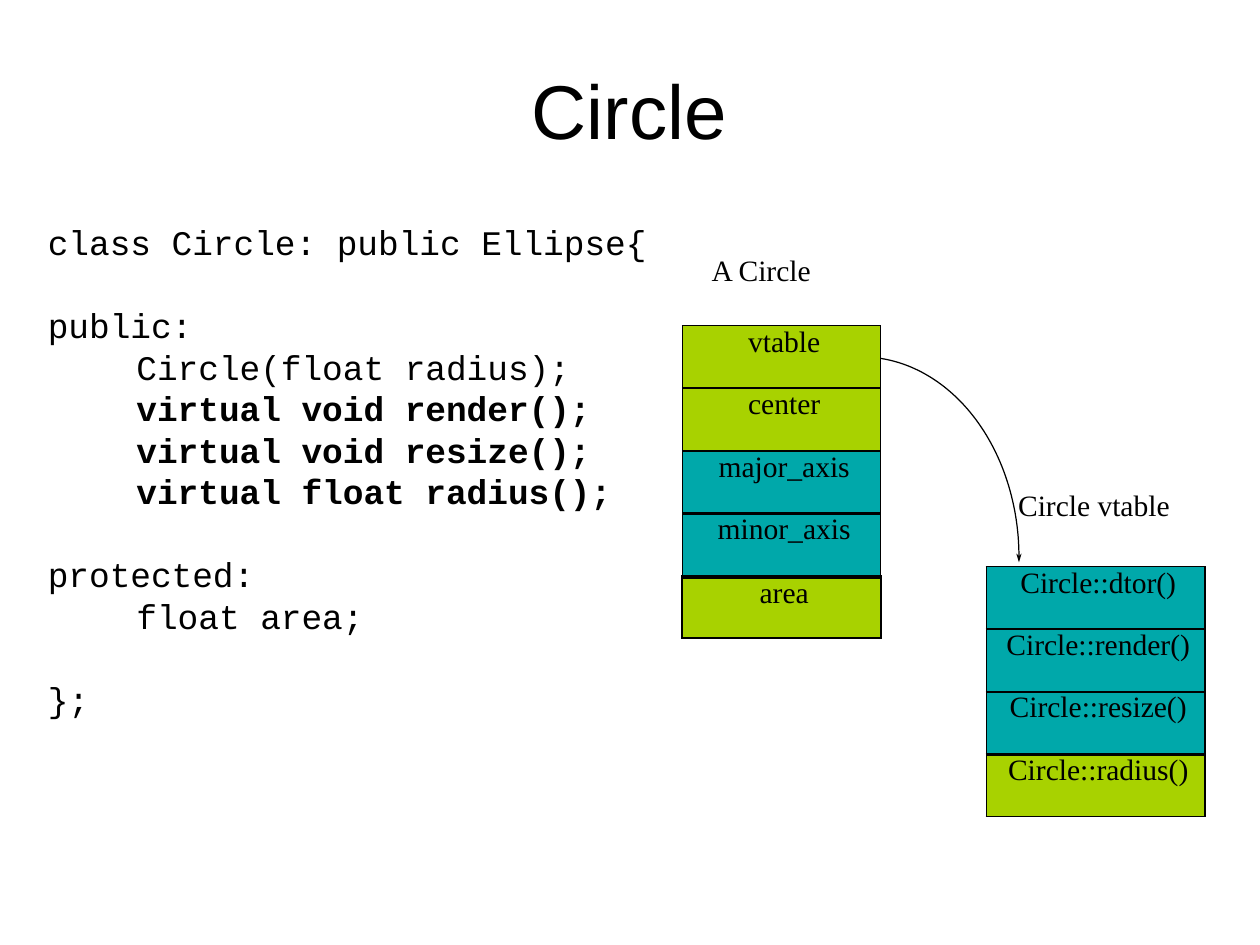
from math import cos, pi, sin

from lxml import etree
from pptx import Presentation
from pptx.dml.color import RGBColor
from pptx.enum.text import MSO_ANCHOR, MSO_AUTO_SIZE, PP_ALIGN
from pptx.oxml.ns import qn
from pptx.util import Inches, Pt

TOP, FIXED = MSO_ANCHOR.TOP, MSO_AUTO_SIZE.NONE
LEFT, CENTER = PP_ALIGN.LEFT, PP_ALIGN.CENTER

THEME = {
    "ink": RGBColor(0, 0, 0),
    "lime": RGBColor(0xA8, 0xD2, 0x00),
    "teal": RGBColor(0x00, 0xA8, 0xAA),
    "title": ("Arial", 62),
    "code": ("Courier New", 28),
    "label": ("Times New Roman", 24),
}


def write(par, text, style, bold=False):
    run = par.add_run()
    run.text = text
    font = run.font
    font.name, size = THEME[style]
    font.size = Pt(size)
    font.bold = bold
    font.color.rgb = THEME["ink"]


def place(shape, box, pad, lift):
    shape.left, shape.top, shape.width, shape.height = map(Inches, box)
    frame = shape.text_frame
    frame.auto_size, frame.word_wrap = FIXED, False
    frame.vertical_anchor = TOP
    frame.margin_left = frame.margin_right = Inches(pad)
    frame.margin_top, frame.margin_bottom = Inches(lift), 0
    frame.paragraphs[0].alignment = LEFT
    return frame


deck = Presentation()
deck.slide_width, deck.slide_height = Inches(14.22), Inches(10.67)
slide = deck.slides.add_slide(deck.slide_layouts[1])
shapes = slide.shapes

# Title
frame = place(shapes.title, (6, 0.62, 2.23, 1.04), 0, 0.09)
write(frame.paragraphs[0], "Circle", "title")

# Class code: text, indent, bold, gap above
code = [
    ("class Circle: public Ellipse{", 0, False, False),
    ("public:", 0, False, True),
    ("Circle(float radius);", 1, False, False),
    ("virtual void render();", 1, True, False),
    ("virtual void resize();", 1, True, False),
    ("virtual float radius();", 1, True, False),
    ("protected:", 0, False, True),
    ("float area;", 1, False, False),
    ("};", 0, False, True),
]
pitch = Pt(33.7)
frame = place(slide.placeholders[1], (0.44, 2.42, 7.01, 5.76), 0.1, 0.08)
for i, (text, indent, bold, gap) in enumerate(code):
    par = frame.add_paragraph() if i else frame.paragraphs[0]
    par.line_spacing = pitch
    par.space_before = pitch if gap else Pt(0)
    props = par._p.get_or_add_pPr()
    props.set("marL", str(Inches(indent)))
    props.set("indent", "0")
    etree.SubElement(props, qn("a:buNone"))
    write(par, text, "code", bold)

# Labels
for text, box in [("A Circle", (8.03, 2.82, 1.15, 0.41)),
                  ("Circle vtable", (11.49, 5.47, 1.74, 0.41))]:
    frame = place(shapes.add_textbox(0, 0, 0, 0), box, 0, 0.03)
    write(frame.paragraphs[0], text, "label")

# Curved arrow: a quarter ellipse and its head
mid_x, mid_y, wide, high = 9.72, 6.29, 1.78, 2.26
steps = 60
turns = [pi / 2 * i / steps for i in range(steps + 1)]
arc = [(mid_x + wide * sin(t), mid_y - high * cos(t)) for t in turns]
head = [(11.47, 6.25), (11.5, 6.35), (11.53, 6.25), (11.5, 6.28)]
for dots, closed in [(arc, False), (head, True)]:
    dots = [(Inches(x), Inches(y)) for x, y in dots]
    pen = shapes.build_freeform(*dots[0])
    pen.add_line_segments(dots[1:], close=closed)
    shape = pen.convert_to_shape()
    shape.shadow.inherit = False
    if closed:
        shape.fill.solid()
        shape.fill.fore_color.rgb = THEME["ink"]
        shape.line.fill.background()
    else:
        shape.fill.background()
        shape.line.color.rgb = THEME["ink"]
        shape.line.width = Pt(1)

# Memory tables: place, row heights, rule widths, side widths, rows
tables = [
    ((7.7, 3.68, 2.24), [0.7, 0.71, 0.71, 0.72, 0.68],
     [1, 2.2, 2.2, 2.2, 3.65, 2], [1, 1, 1, 1, 2],
     [("vtable", "lime"), ("center", "lime"), ("major_axis", "teal"),
      ("minor_axis", "teal"), ("area", "lime")]),
    ((11.13, 6.4, 2.47), [0.7, 0.71, 0.71, 0.7],
     [1, 2, 2, 2, 1], [1, 1, 1, 1],
     [("Circle::dtor()", "teal"), ("Circle::render()", "teal"),
      ("Circle::resize()", "teal"), ("Circle::radius()", "lime")]),
]
for (x, y, width), heights, rules, sides, rows in tables:
    grid = shapes.add_table(len(rows), 1, Inches(x), Inches(y),
                            Inches(width), Inches(sum(heights))).table
    grid.first_row = grid.horz_banding = False
    for i, (text, color) in enumerate(rows):
        grid.rows[i].height = Inches(heights[i])
        cell = grid.cell(i, 0)
        cell.margin_left = cell.margin_right = 0
        cell.margin_top = cell.margin_bottom = 0
        cell.vertical_anchor = TOP
        props = cell._tc.get_or_add_tcPr()
        for side, size in zip("LRTB", (sides[i], sides[i], rules[i], rules[i + 1])):
            edge = etree.SubElement(props, qn(f"a:ln{side}"), w=str(Pt(size)))
            fill = etree.SubElement(edge, qn("a:solidFill"))
            etree.SubElement(fill, qn("a:srgbClr"), val=str(THEME["ink"]))
        cell.fill.solid()
        cell.fill.fore_color.rgb = THEME[color]
        par = cell.text_frame.paragraphs[0]
        par.alignment = CENTER
        par._p.get_or_add_pPr().set("marL", str(Inches(0.06)))
        write(par, text, "label")

deck.save("out.pptx")
